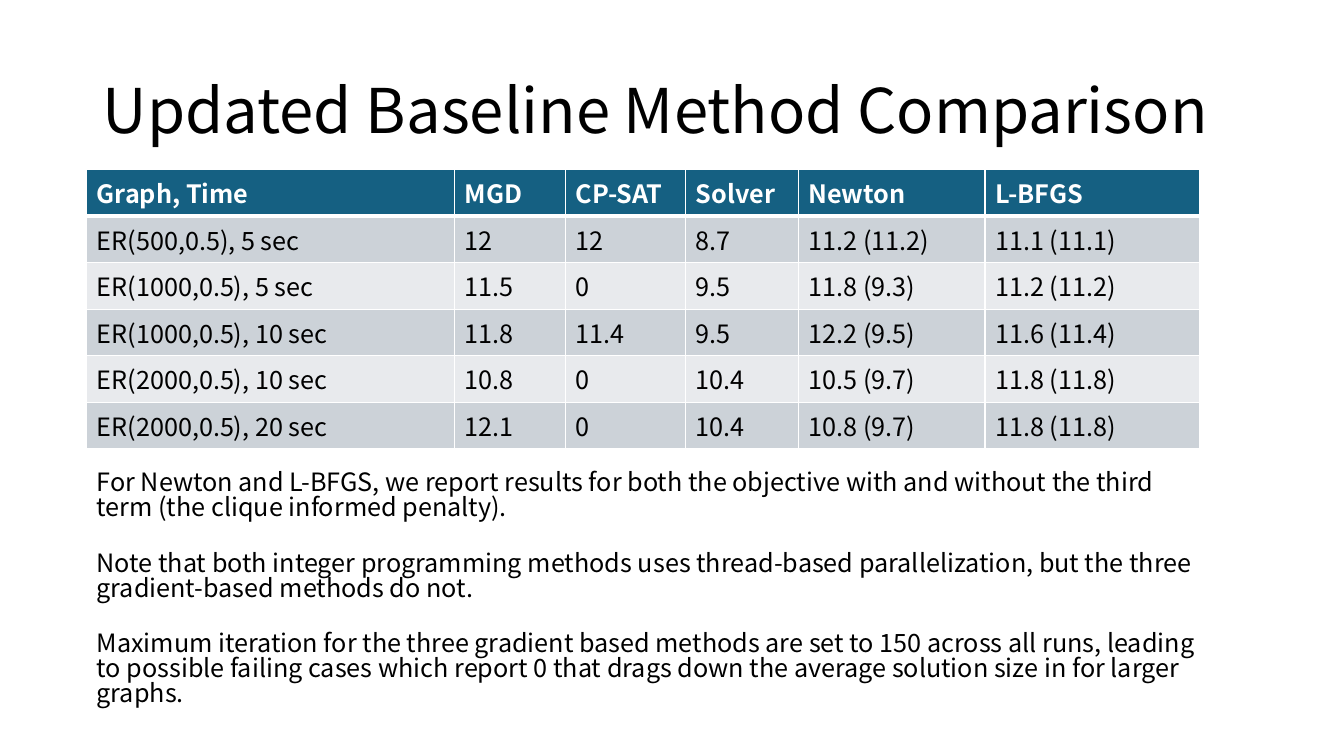
from lxml import etree
from pptx import Presentation
from pptx import util as u
from pptx.dml.color import RGBColor
from pptx.enum import text
from pptx.oxml import ns

BLACK = RGBColor(0, 0, 0)
WHITE = RGBColor(255, 255, 255)
HEADER_BLUE = RGBColor(0x15, 0x60, 0x82)
BAND_DARK = RGBColor(0xCC, 0xD2, 0xD8)
BAND_LIGHT = RGBColor(0xE8, 0xEA, 0xED)

COLUMN_WIDTHS = [365, 110, 119, 112, 185, 213]
RESULTS = [
    ["Graph, Time", "MGD", "CP-SAT", "Solver", "Newton", "L-BFGS"],
    ["ER(500,0.5), 5 sec", "12", "12", "8.7", "11.2 (11.2)", "11.1 (11.1)"],
    ["ER(1000,0.5), 5 sec", "11.5", "0", "9.5", "11.8 (9.3)", "11.2 (11.2)"],
    ["ER(1000,0.5), 10 sec", "11.8", "11.4", "9.5", "12.2 (9.5)", "11.6 (11.4)"],
    ["ER(2000,0.5), 10 sec", "10.8", "0", "10.4", "10.5 (9.7)", "11.8 (11.8)"],
    ["ER(2000,0.5), 20 sec", "12.1", "0", "10.4", "10.8 (9.7)", "11.8 (11.8)"],
]
REMARKS = [
    "For Newton and L-BFGS, we report results for both the objective with and "
    "without the third term (the clique informed penalty).",
    "Note that both integer programming methods uses thread-based "
    "parallelization, but the three gradient-based methods do not.",
    "Maximum iteration for the three gradient based methods are set to 150 "
    "across all runs, leading to possible failing cases which report 0 that "
    "drags down the average solution size in for larger graphs.",
]


def px(length):
    return u.Emu(length * 9144)


class SlideBuilder:
    font_name = "Noto Sans CJK SC"
    body_size = 18

    def __init__(self, deck):
        self.slide = deck.slides.add_slide(deck.slide_layouts[5])

    def style(self, paragraph, size, color=BLACK, bold=False):
        paragraph.alignment = text.PP_ALIGN.LEFT
        font = paragraph.font
        font.name = self.font_name
        font.size = u.Pt(size)
        font.bold = bold
        font.color.rgb = color

    def title(self, wording, left, top, width, height):
        heading = self.slide.shapes.title
        heading.left, heading.top = px(left), px(top)
        heading.width, heading.height = px(width), px(height)
        frame = heading.text_frame
        frame.text = wording
        frame.word_wrap = True
        frame.auto_size = text.MSO_AUTO_SIZE.NONE
        frame.vertical_anchor = text.MSO_ANCHOR.MIDDLE
        self.style(frame.paragraphs[0], 44)
        frame.paragraphs[0].line_spacing = 0.9

    def border(self, cell, side, points):
        properties = cell._tc.get_or_add_tcPr()
        line = etree.SubElement(properties, ns.qn(f"a:ln{side}"), w=str(u.Pt(points)))
        fill = etree.SubElement(line, ns.qn("a:solidFill"))
        etree.SubElement(fill, ns.qn("a:srgbClr"), val=str(WHITE))

    def table(self, rows, widths, left, top, height):
        grid = self.slide.shapes.add_table(
            len(rows), len(widths), px(left), px(top), px(sum(widths)), px(height)
        ).table
        for column, width in zip(grid.columns, widths):
            column.width = px(width)
        for r, row in enumerate(rows):
            header = r == 0
            band = HEADER_BLUE if header else BAND_DARK if r % 2 else BAND_LIGHT
            for c, value in enumerate(row):
                cell = grid.cell(r, c)
                cell.text = value
                self.style(cell.text_frame.paragraphs[0], self.body_size,
                           WHITE if header else BLACK, header)
                for side in "LRTB":
                    thick = (header and side == "B") or (r == 1 and side == "T")
                    self.border(cell, side, 3 if thick else 1)
                cell.fill.solid()
                cell.fill.fore_color.rgb = band

    def remarks(self, wordings, left, top, width, height):
        frame = self.slide.shapes.add_textbox(
            px(left), px(top), px(width), px(height)
        ).text_frame
        frame.word_wrap = True
        frame.auto_size = text.MSO_AUTO_SIZE.SHAPE_TO_FIT_TEXT
        frame.text = "\n".join(wordings)
        for i, remark in enumerate(frame.paragraphs):
            self.style(remark, self.body_size)
            remark.line_spacing = 0.83
            remark.space_before = u.Pt(21.6 if i else 0)


def main():
    deck = Presentation()
    deck.slide_width, deck.slide_height = px(1333), px(750)
    builder = SlideBuilder(deck)
    builder.title("Updated Baseline Method Comparison", 92, 40, 1150, 145)
    builder.table(RESULTS, COLUMN_WIDTHS, 86, 168, 243)
    builder.remarks(REMARKS, 86, 463, 1119, 252)
    deck.save("out.pptx")


if __name__ == "__main__":
    main()
